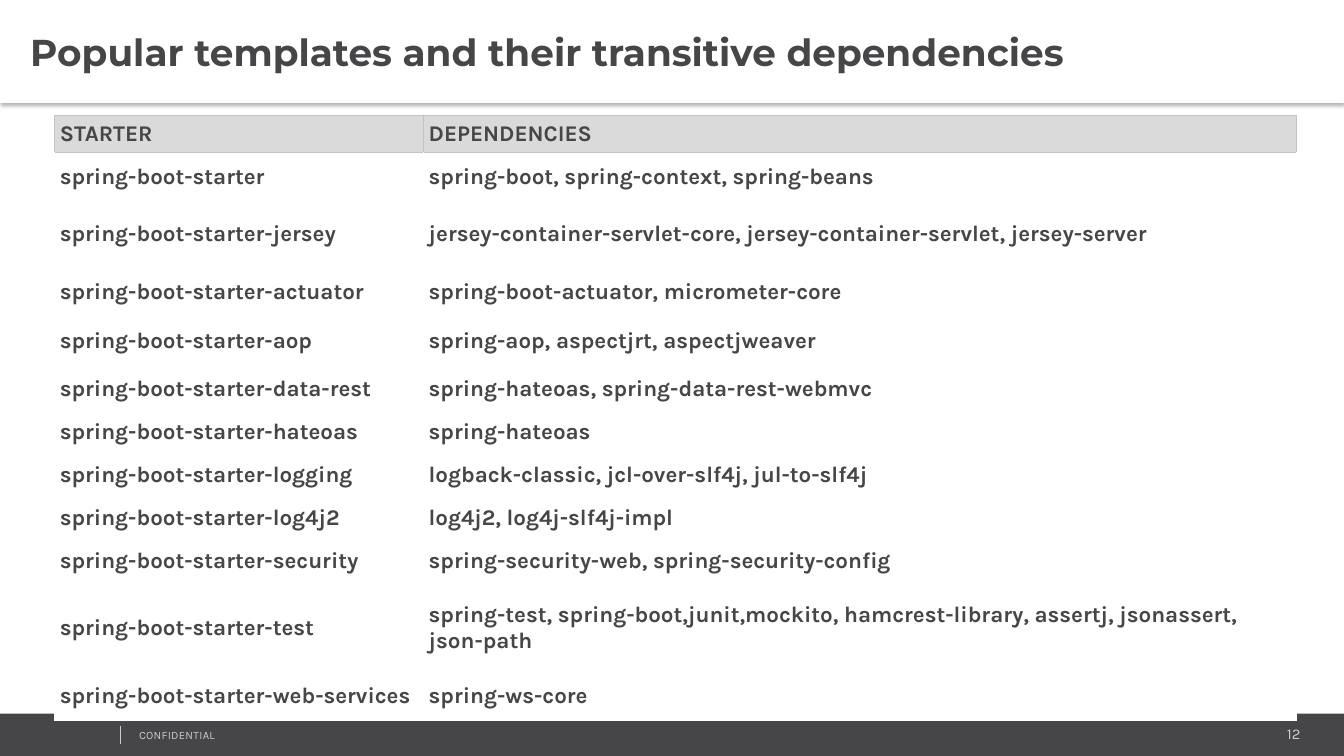
from pptx import Presentation
from pptx.dml.color import RGBColor
from pptx.enum.shapes import MSO_CONNECTOR, MSO_SHAPE
from pptx.enum.text import MSO_ANCHOR, MSO_AUTO_SIZE, PP_ALIGN
from pptx.oxml import parse_xml
from pptx.oxml.ns import nsdecls
from pptx.util import Pt

COLORS = {"dark": "464547", "pale": "CCCCCC", "head": "DADADA",
          "edge": "C3C3C3", "white": "FFFFFF", "shade": "000000"}
RGB = {name: RGBColor.from_string(code) for name, code in COLORS.items()}


def write(frame, text, color, **font):
    """Set the frame's text, then apply the font values to its run."""
    frame.text = text
    run = frame.paragraphs[0].runs[0]
    run.font.color.rgb = RGB[color]
    for key, value in font.items():
        setattr(run.font, key, value)
    return run


def paint(shape, color):
    shape.fill.solid()
    shape.fill.fore_color.rgb = RGB[color]


deck = Presentation()
deck.slide_width, deck.slide_height = Pt(960), Pt(540)
slide = deck.slides.add_slide(deck.slide_layouts[5])
shapes = slide.shapes

# Title bar
title = shapes.title
box = {"left": 0, "top": 0, "width": Pt(960), "height": Pt(73.5)}
for key, value in box.items():
    setattr(title, key, value)
paint(title, "white")
write(title.text_frame, "Popular templates and their transitive dependencies",
      "dark", name="Montserrat", size=Pt(26.7), bold=True)
layout = {"auto_size": MSO_AUTO_SIZE.NONE, "word_wrap": True,
          "vertical_anchor": MSO_ANCHOR.MIDDLE,
          "margin_left": Pt(21.6), "margin_right": Pt(5),
          "margin_top": Pt(3), "margin_bottom": Pt(3)}
for key, value in layout.items():
    setattr(title.text_frame, key, value)
title.text_frame.paragraphs[0].alignment = PP_ALIGN.LEFT
title._element.spPr.append(parse_xml(
    f'<a:effectLst {nsdecls("a")}>'
    f'<a:outerShdw blurRad="{Pt(3.1)}" dist="{Pt(2)}" dir="5400000" '
    f'algn="t" rotWithShape="0"><a:srgbClr val="{COLORS["shade"]}">'
    '<a:alpha val="30000"/></a:srgbClr></a:outerShdw></a:effectLst>'))

# Footer
bar = shapes.add_shape(MSO_SHAPE.RECTANGLE, 0, Pt(509.8), Pt(961), Pt(31))
bar.shadow.inherit = False
paint(bar, "dark")
bar.line.fill.background()

footers = [
    ("12", 779, 514, 157, 20, 10.7, PP_ALIGN.RIGHT),
    ("CONFIDENTIAL", 92.2, 517, 243, 17, 8, PP_ALIGN.LEFT),
]
for text, left, top, width, height, size, align in footers:
    note = shapes.add_textbox(Pt(left), Pt(top), Pt(width), Pt(height))
    note.text_frame.word_wrap = True
    run = write(note.text_frame, text, "pale", name="Karla", size=Pt(size))
    note.text_frame.paragraphs[0].alignment = align
    if align == PP_ALIGN.LEFT:
        run._r.get_or_add_rPr().set("spc", "20")

rule = shapes.add_connector(MSO_CONNECTOR.STRAIGHT,
                            Pt(85.5), Pt(518.5), Pt(85.5), Pt(531.5))
rule.line.color.rgb = RGB["pale"]
rule.line.width = Pt(0.25)
rule._element.spPr.append(parse_xml(f'<a:effectLst {nsdecls("a")}/>'))

# Table of starters
LOW, MID = 25.8, 34.6
rows = [
    (LOW, "STARTER", "DEPENDENCIES"),
    (MID, "spring-boot-starter", "spring-boot, spring-context, spring-beans"),
    (48, "spring-boot-starter-jersey",
     "jersey-container-servlet-core, jersey-container-servlet, jersey-server"),
    (MID, "spring-boot-starter-actuator",
     "spring-boot-actuator, micrometer-core"),
    (MID, "spring-boot-starter-aop", "spring-aop, aspectjrt, aspectjweaver"),
    (MID, "spring-boot-starter-data-rest",
     "spring-hateoas, spring-data-rest-webmvc"),
    (LOW, "spring-boot-starter-hateoas", "spring-hateoas"),
    (MID, "spring-boot-starter-logging",
     "logback-classic, jcl-over-slf4j, jul-to-slf4j"),
    (LOW, "spring-boot-starter-log4j2", "log4j2, log4j-slf4j-impl"),
    (MID, "spring-boot-starter-security",
     "spring-security-web, spring-security-config"),
    (62, "spring-boot-starter-test",
     "spring-test, spring-boot,junit,mockito, hamcrest-library, assertj, "
     "jsonassert, json-path"),
    (MID, "spring-boot-starter-web-services", "spring-ws-core"),
]
total = sum(row[0] for row in rows)
table = shapes.add_table(len(rows), 2, Pt(39), Pt(82.2),
                         Pt(887), Pt(total)).table
table.first_row = table.horz_banding = False
for column, width in zip(table.columns, (263.5, 623.5)):
    column.width = Pt(width)

pads = {f"margin_{side}": Pt(3.75)
        for side in ("left", "right", "top", "bottom")}
cell_format = {**pads, "vertical_anchor": MSO_ANCHOR.MIDDLE}
for r, (height, *texts) in enumerate(rows):
    table.rows[r].height = Pt(height)
    for c, text in enumerate(texts):
        cell = table.cell(r, c)
        for key, value in cell_format.items():
            setattr(cell, key, value)
        paint(cell, "white" if r else "head")
        write(cell.text_frame, text, "dark",
              name="Karla", size=Pt(16), bold=True)
        sides = {0: "LRTB", 1: "T"}.get(r, "")
        for i, side in enumerate(sides):
            cell._tc.get_or_add_tcPr().insert(i, parse_xml(
                f'<a:ln{side} {nsdecls("a")} w="{Pt(0.75)}"><a:solidFill>'
                f'<a:srgbClr val="{COLORS["edge"]}"/></a:solidFill>'
                f'</a:ln{side}>'))

deck.save("out.pptx")
